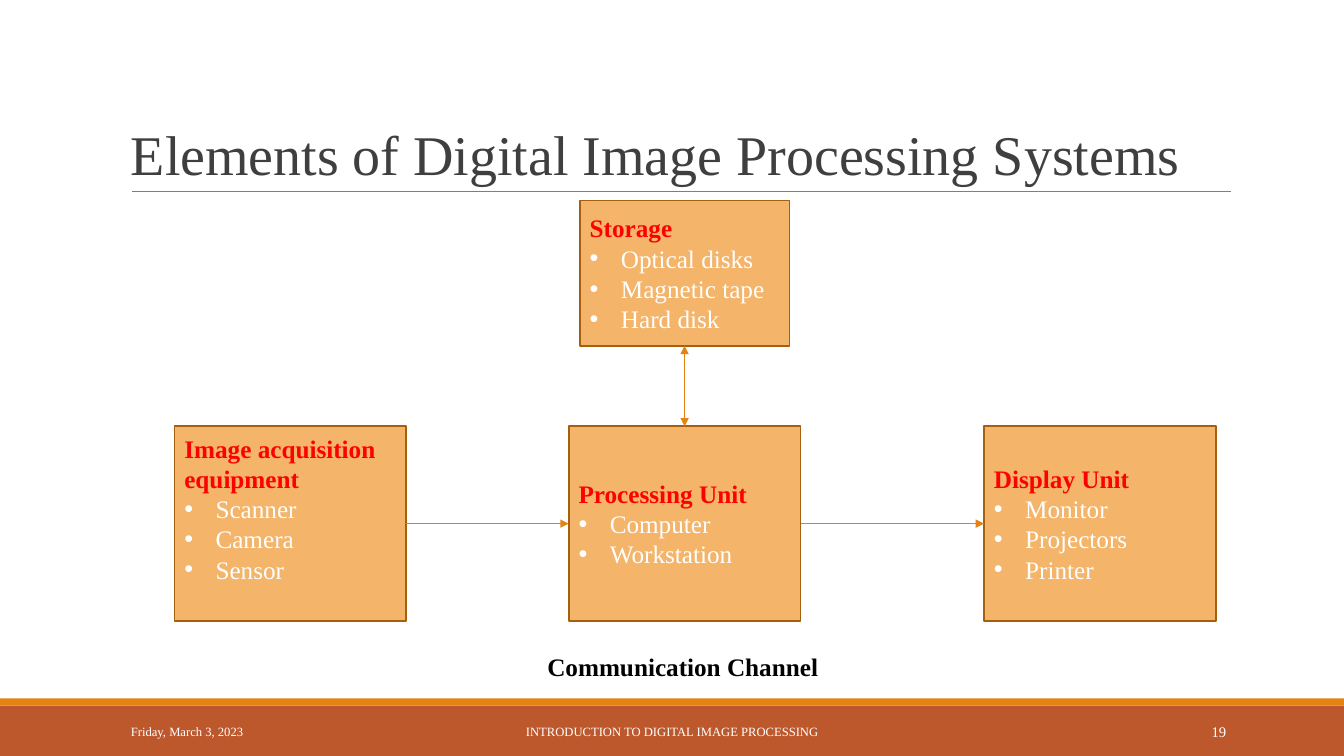
from lxml.etree import SubElement
from pptx import Presentation
from pptx.dml.color import RGBColor
from pptx.enum.shapes import MSO_CONNECTOR, MSO_SHAPE
from pptx.enum.text import MSO_ANCHOR, PP_ALIGN
from pptx.oxml.ns import qn
from pptx.util import Inches, Pt

FONT = "Times New Roman"
WHITE = "FFFFFF"
ORANGE = "E48312"
TOP, LEFT, BOTTOM, RIGHT = range(4)
UNIT_TOP, UNIT_WIDTH, UNIT_HEIGHT = 4.23, 2.3, 1.93


def color(hex_string):
    """Turn a hex string into a colour."""
    return RGBColor.from_string(hex_string)


def format_runs(paragraph, size, hex_string, bold=False):
    """Style every run of a paragraph."""
    for run in paragraph.runs:
        run.font.name = FONT
        run.font.size = Pt(size)
        run.font.bold = bold
        run.font.color.rgb = color(hex_string)


def add_rectangle(slide, left, top, width, height, fill, line=None):
    """Add a flat rectangle, outlined when a line colour is given."""
    shape = slide.shapes.add_shape(
        MSO_SHAPE.RECTANGLE, Inches(left), Inches(top), Inches(width), Inches(height)
    )
    shape.shadow.inherit = False
    shape.fill.solid()
    shape.fill.fore_color.rgb = color(fill)
    if line:
        shape.line.color.rgb = color(line)
        shape.line.width = Pt(1.25)
    else:
        shape.line.fill.background()
    return shape


def add_text(slide, left, top, width, height, text, size, hex_string,
             align=PP_ALIGN.LEFT, anchor=MSO_ANCHOR.MIDDLE, bold=False):
    """Add a one-paragraph text box and return its paragraph."""
    box = slide.shapes.add_textbox(
        Inches(left), Inches(top), Inches(width), Inches(height)
    )
    frame = box.text_frame
    frame.word_wrap = True
    frame.vertical_anchor = anchor
    frame.text = text
    paragraph = frame.paragraphs[0]
    paragraph.alignment = align
    format_runs(paragraph, size, hex_string, bold)
    return paragraph


def add_bullet(paragraph):
    """Give a paragraph a white bullet and a hanging indent."""
    properties = paragraph._p.get_or_add_pPr()
    properties.set("marL", str(Inches(0.31)))
    properties.set("indent", str(-Inches(0.31)))
    bullet_color = SubElement(properties, qn("a:buClr"))
    SubElement(bullet_color, qn("a:srgbClr"), val=WHITE)
    SubElement(properties, qn("a:buFont"), typeface="Arial")
    SubElement(properties, qn("a:buChar"), char="•")


def add_element(slide, left, top, width, height, heading, items):
    """Add a system element: a box with a red heading and bulleted items."""
    shape = add_rectangle(slide, left, top, width, height, "F4B469", "A65F0D")
    frame = shape.text_frame
    frame.word_wrap = True
    frame.vertical_anchor = MSO_ANCHOR.MIDDLE
    frame.text = "\n".join([heading, *items])
    for index, paragraph in enumerate(frame.paragraphs):
        paragraph.alignment = PP_ALIGN.LEFT
        if index:
            add_bullet(paragraph)
        format_runs(paragraph, 18, WHITE if index else "FF0000", bold=index == 0)
    return shape


def add_line(slide, start, end, hex_string, width):
    """Add a straight line without a shadow."""
    line = slide.shapes.add_connector(
        MSO_CONNECTOR.STRAIGHT, *(Inches(value) for value in (*start, *end))
    )
    line.line.color.rgb = color(hex_string)
    line.line.width = Pt(width)
    SubElement(line.element.spPr, qn("a:effectLst"))
    return line


def add_arrow(slide, source, source_side, target, target_side, both_ways=False):
    """Join two boxes with an arrow."""
    arrow = add_line(slide, (0, 0), (1, 1), ORANGE, 1)
    arrow.begin_connect(source, source_side)
    arrow.end_connect(target, target_side)
    outline = arrow.element.spPr.find(qn("a:ln"))
    for end in ["headEnd", "tailEnd"] if both_ways else ["tailEnd"]:
        SubElement(outline, qn(f"a:{end}"), type="triangle")


def add_frame(slide):
    """Add the title, its rule and the footer."""
    add_rectangle(slide, 0, 7, 13.33, 0.5, "BD582C")
    add_rectangle(slide, 0, 6.93, 13.33, 0.07, ORANGE)
    add_line(slide, (1.31, 1.9), (12.21, 1.9), "7F7F7F", 0.75)
    title = add_text(slide, 1.2, 0.31, 11, 1.59,
                     "Elements of Digital Image Processing Systems",
                     40, "3F3F3F", anchor=MSO_ANCHOR.BOTTOM)
    title.line_spacing = 0.85
    for left, width, text, size, align in [
        (1.2, 2.7, "Friday, March 3, 2023", 9, PP_ALIGN.LEFT),
        (4.03, 5.27, "INTRODUCTION TO DIGITAL IMAGE PROCESSING", 9, PP_ALIGN.CENTER),
        (10.83, 1.43, "19", 10.5, PP_ALIGN.RIGHT),
    ]:
        add_text(slide, left, 7.06, width, 0.4, text, size, WHITE, align)


def add_diagram(slide):
    """Add the four system elements, their arrows and the caption."""
    storage = add_element(slide, 5.75, 1.99, 2.08, 1.44, "Storage",
                          ["Optical disks", "Magnetic tape", "Hard disk"])
    processing, display, acquisition = [
        add_element(slide, left, UNIT_TOP, UNIT_WIDTH, UNIT_HEIGHT, heading, items)
        for left, heading, items in [
            (5.64, "Processing Unit", ["Computer", "Workstation"]),
            (9.76, "Display Unit", ["Monitor", "Projectors", "Printer"]),
            (1.73, "Image acquisition equipment", ["Scanner", "Camera", "Sensor"]),
        ]
    ]
    acquisition.text_frame.margin_bottom = Inches(0.35)
    add_arrow(slide, storage, BOTTOM, processing, TOP, both_ways=True)
    add_arrow(slide, acquisition, RIGHT, processing, LEFT)
    add_arrow(slide, processing, RIGHT, display, LEFT)
    add_text(slide, 5.33, 6.41, 3.14, 0.4, "Communication Channel", 18, "000000",
             anchor=MSO_ANCHOR.TOP, bold=True)


def main():
    """Build the slide and save it."""
    presentation = Presentation()
    presentation.slide_width = Inches(13.33)
    presentation.slide_height = Inches(7.5)
    slide = presentation.slides.add_slide(presentation.slide_layouts[6])
    add_frame(slide)
    add_diagram(slide)
    presentation.save("out.pptx")


if __name__ == "__main__":
    main()
